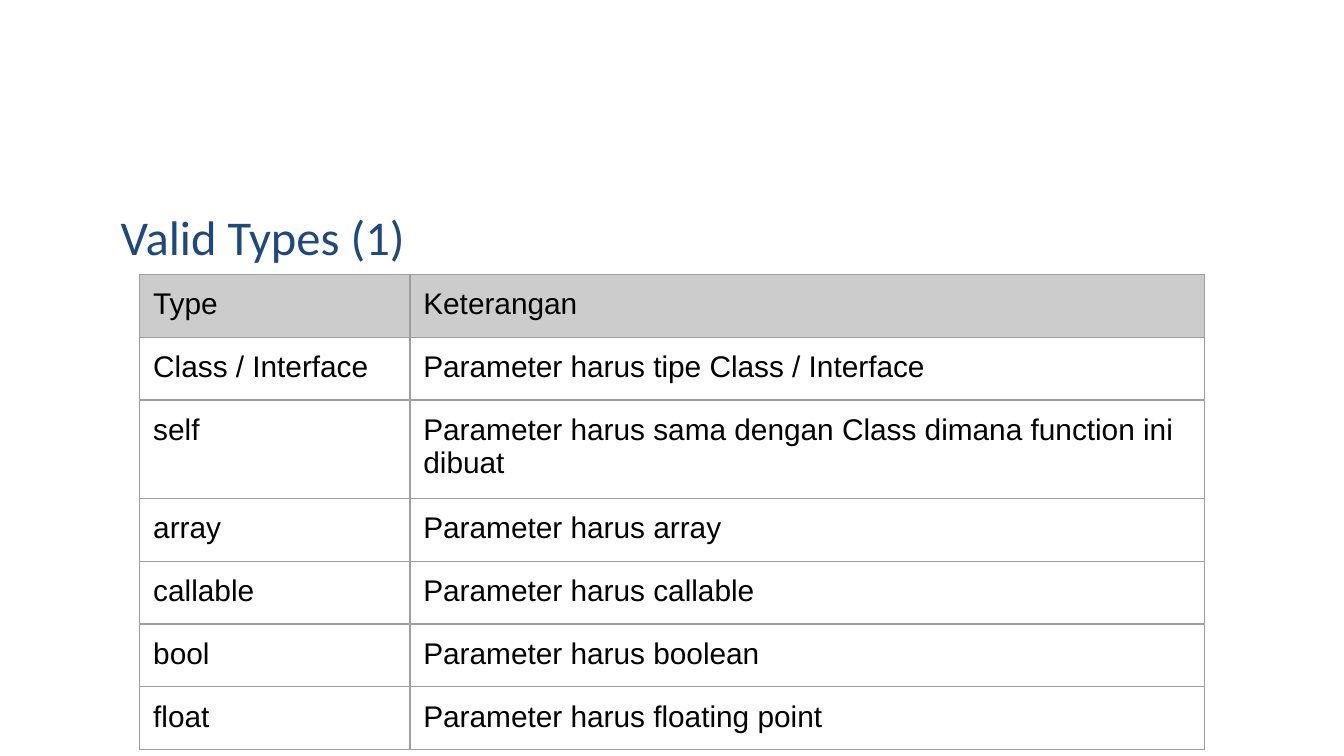
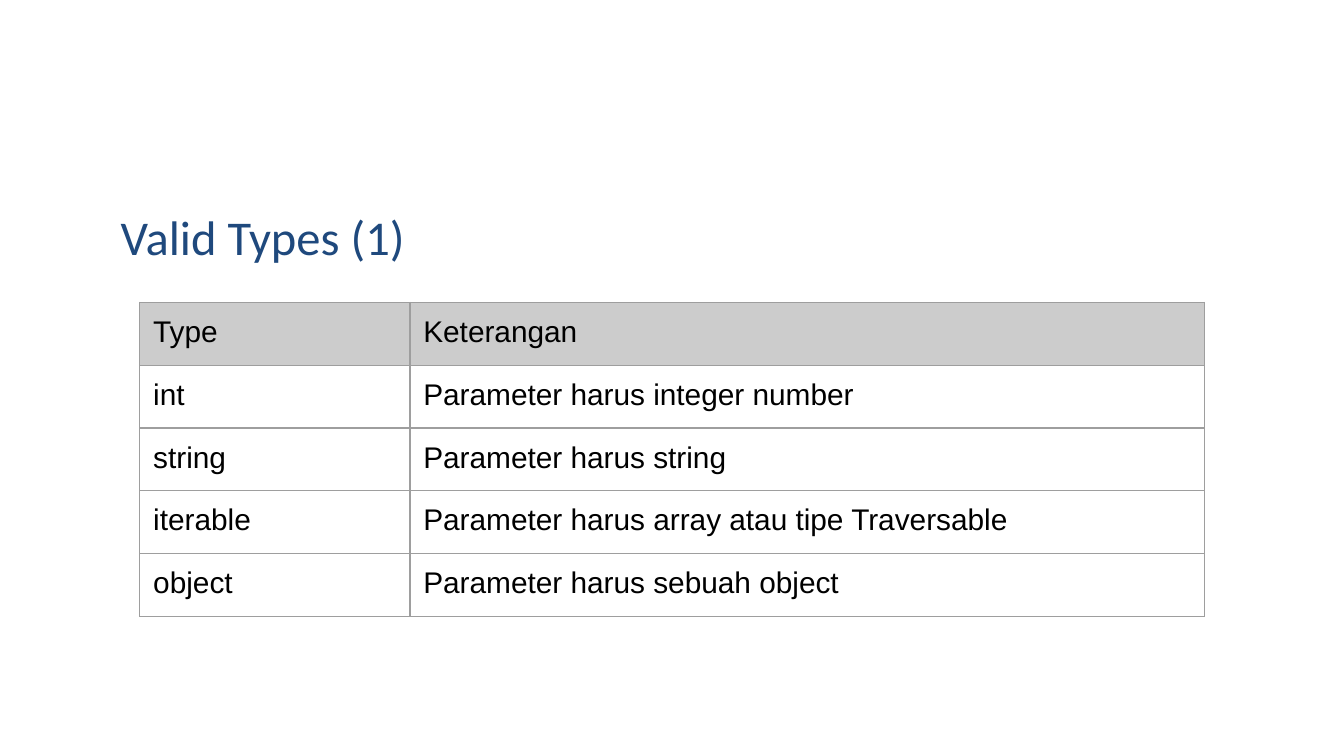
from lxml import etree
from pptx import Presentation
from pptx import util as u
from pptx.dml.color import RGBColor
from pptx.enum import text
from pptx.oxml import ns

WIDTH = u.Inches(10)
HEIGHT = WIDTH * 9 // 16
INSET = u.Inches(0.1)
ROW_HEIGHT = u.Inches(0.42)
COLUMN_WIDTHS = (u.Inches(2.01), u.Inches(5.91))
BORDER_WIDTH = u.Pt(0.75)

WHITE = RGBColor(0xFF, 0xFF, 0xFF)
BLACK = RGBColor(0x00, 0x00, 0x00)
TITLE_BLUE = RGBColor(0x1F, 0x49, 0x7D)
HEADER_GRAY = RGBColor(0xCC, 0xCC, 0xCC)
BORDER_GRAY = RGBColor(0x9E, 0x9E, 0x9E)

TITLE = "Valid Types (1)"
HEADER = ("Type", "Keterangan")
TABLES = (
    (36.3, 62.75, (
        ("Class / Interface", "Parameter harus tipe Class / Interface"),
        ("self", "Parameter harus sama dengan Class dimana function ini dibuat"),
        ("array", "Parameter harus array"),
        ("callable", "Parameter harus callable"),
        ("bool", "Parameter harus boolean"),
        ("float", "Parameter harus floating point"),
    )),
    (40, 41.4, (
        ("int", "Parameter harus integer number"),
        ("string", "Parameter harus string"),
        ("iterable", "Parameter harus array atau tipe Traversable"),
        ("object", "Parameter harus sebuah object"),
    )),
)


def across(percent):
    """Return a share of the slide's width."""
    return int(WIDTH * percent / 100)


def down(percent):
    """Return a share of the slide's height."""
    return int(HEIGHT * percent / 100)


def set_insets(target):
    """Give a text frame or a table cell the same margin on all sides."""
    target.margin_left = target.margin_right = INSET
    target.margin_top = target.margin_bottom = INSET


def style_paragraph(paragraph, font_name, size, color):
    """Set the font of a left-aligned paragraph."""
    paragraph.alignment = text.PP_ALIGN.LEFT
    paragraph.font.name = font_name
    paragraph.font.size = u.Pt(size)
    paragraph.font.color.rgb = color


def add_title(slide, title):
    """Write the slide title above the table."""
    box = slide.shapes.add_textbox(across(8), down(25.6), across(84.1), down(10.5))
    frame = box.text_frame
    frame.word_wrap = True
    frame.vertical_anchor = text.MSO_ANCHOR.TOP
    set_insets(frame)
    frame.text = title
    style_paragraph(frame.paragraphs[0], "Calibri", 26, TITLE_BLUE)


def add_borders(cell):
    """Draw a thin solid line on the four sides of a cell."""
    properties = cell._tc.get_or_add_tcPr()
    for side in ("a:lnL", "a:lnR", "a:lnT", "a:lnB"):
        line = etree.SubElement(properties, ns.qn(side), w=str(int(BORDER_WIDTH)))
        fill = etree.SubElement(line, ns.qn("a:solidFill"))
        etree.SubElement(fill, ns.qn("a:srgbClr"), val=str(BORDER_GRAY))


def fill_cell(cell, content, is_header):
    """Write and style one table cell."""
    cell.text = content
    set_insets(cell)
    cell.vertical_anchor = text.MSO_ANCHOR.TOP
    style_paragraph(cell.text_frame.paragraphs[0], "Arial", 16, BLACK)
    add_borders(cell)
    if is_header:
        cell.fill.solid()
        cell.fill.fore_color.rgb = HEADER_GRAY
    else:
        cell.fill.background()


def add_type_table(slide, top, height, entries):
    """Add the table of types under a gray header row."""
    rows = (HEADER, *entries)
    frame = slide.shapes.add_table(
        len(rows), len(HEADER), across(10.4), down(top), sum(COLUMN_WIDTHS), down(height))
    table = frame.table
    table.horz_banding = False
    for column, width in zip(table.columns, COLUMN_WIDTHS):
        column.width = width
    for row_index, row in enumerate(rows):
        table.rows[row_index].height = ROW_HEIGHT
        for column_index, content in enumerate(row):
            fill_cell(table.cell(row_index, column_index), content, row_index == 0)
    frame.height = down(height)


def main():
    """Build the two slides and save them."""
    presentation = Presentation()
    presentation.slide_width, presentation.slide_height = WIDTH, HEIGHT
    for top, height, entries in TABLES:
        slide = presentation.slides.add_slide(presentation.slide_layouts[6])
        slide.background.fill.solid()
        slide.background.fill.fore_color.rgb = WHITE
        add_title(slide, TITLE)
        add_type_table(slide, top, height, entries)
    presentation.save("out.pptx")


if __name__ == "__main__":
    main()
